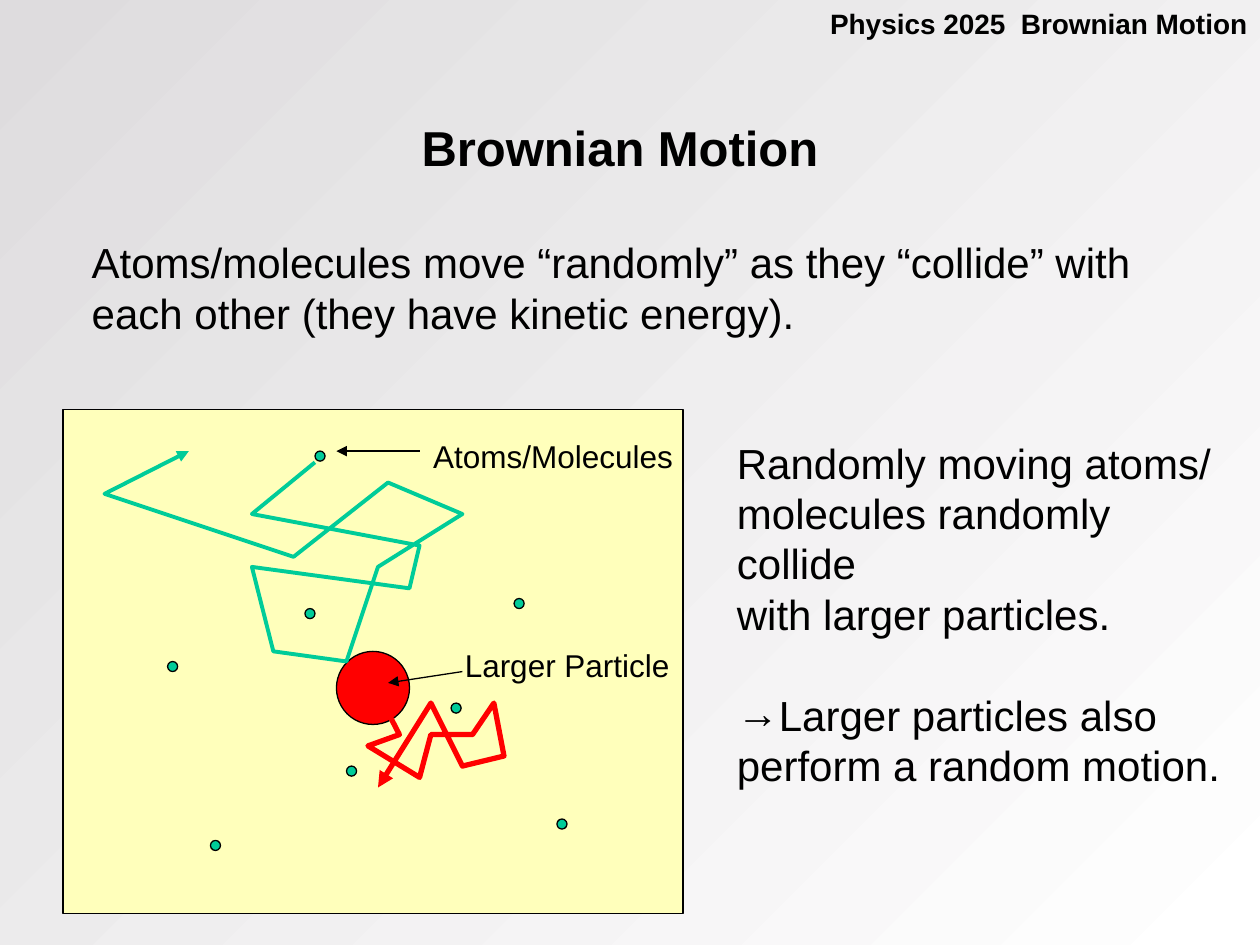
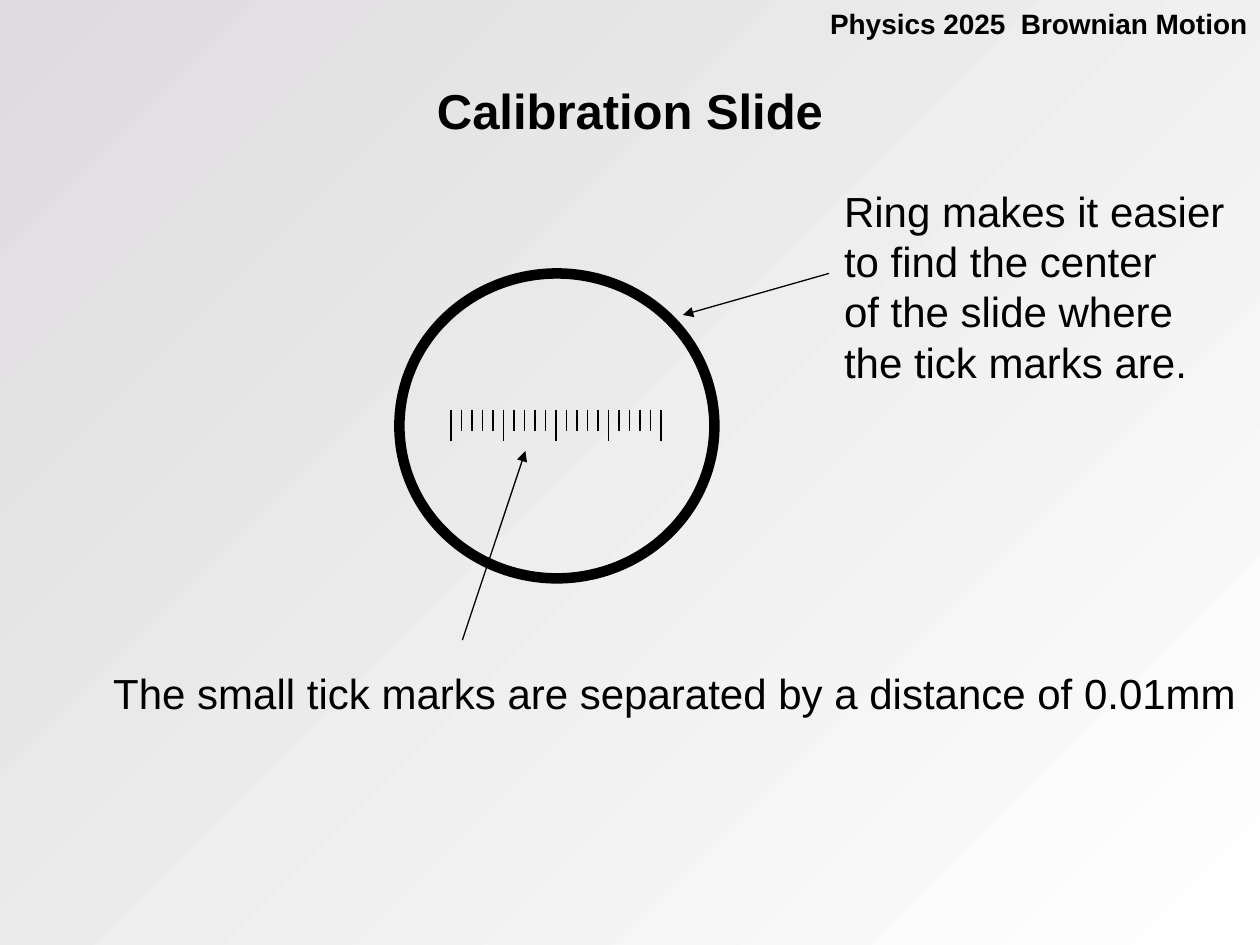
from lxml import etree
from pptx import Presentation
from pptx.dml.color import RGBColor
from pptx.enum.shapes import MSO_CONNECTOR, MSO_SHAPE
from pptx.enum.text import MSO_ANCHOR, MSO_AUTO_SIZE, PP_ALIGN
from pptx.oxml.ns import qn
from pptx.util import Inches, Pt

RECT, OVAL = MSO_SHAPE.RECTANGLE, MSO_SHAPE.OVAL
STRAIGHT = MSO_CONNECTOR.STRAIGHT
LEFT, CENTER, RIGHT = PP_ALIGN.LEFT, PP_ALIGN.CENTER, PP_ALIGN.RIGHT
TOP, MIDDLE = MSO_ANCHOR.TOP, MSO_ANCHOR.MIDDLE

FONT = "Arial"
COLORS = {
    "ink": "000000",
    "bg_start": "DEDCDE",
    "bg_end": "FFFFFF",
    "panel": "FFFFBB",
    "atom": "00CC99",
    "particle": "FF0000",
}
LINE_HEIGHT = 1.2


def rgb(name):
    return RGBColor.from_string(COLORS[name])


class Deck:
    def __init__(self):
        self.prs = Presentation()
        self.prs.slide_width, self.prs.slide_height = Inches(10), Inches(7.5)
        self.s = None

    def slide(self, title, box):
        """Start a slide with the shared background, header and title style."""
        self.s = self.prs.slides.add_slide(self.prs.slide_layouts[6])
        fill = self.s.background.fill
        fill.gradient()
        fill.gradient_angle = 315
        for stop, name in zip(fill.gradient_stops, ("bg_start", "bg_end")):
            stop.color.rgb = rgb(name)
        self.text(["Physics 2025  Brownian Motion"], (4.08, 0, 5.92, 0.37),
                  size=16, bold=True, align=RIGHT)
        self.text([title], box, size=28, bold=True, align=CENTER, anchor=MIDDLE)

    def text(self, lines, box, size=24, bold=False, align=LEFT, anchor=TOP, wrap=True):
        tf = self.s.shapes.add_textbox(*map(Inches, box)).text_frame
        tf.word_wrap = wrap
        tf.auto_size = MSO_AUTO_SIZE.NONE
        tf.vertical_anchor = anchor
        tf.text = "\n".join(lines)
        for p in tf.paragraphs:
            p.alignment = align
            p.font.name, p.font.size, p.font.bold = FONT, Pt(size), bold
            p.font.color.rgb = rgb("ink")
        return tf

    def arrow_bullet(self, p):
        """Lead the paragraph with an arrow, one blank line below the previous one."""
        pPr = p._p.get_or_add_pPr()
        pPr.set("marL", "0")
        pPr.set("indent", "0")
        bullet = etree.Element(qn("a:buChar"), char="→")
        pPr.insert(0, bullet)
        bullet.addprevious(etree.Element(qn("a:buFont"), typeface=FONT))
        p.space_before = Pt(24 * LINE_HEIGHT)

    def shape(self, kind, box, fill=None, width=0.75):
        sp = self.s.shapes.add_shape(kind, *map(Inches, box))
        self.outline(sp, "ink", width)
        sp.shadow.inherit = False
        if fill:
            sp.fill.solid()
            sp.fill.fore_color.rgb = rgb(fill)
        else:
            sp.fill.background()

    def outline(self, sp, color, width, arrow=False):
        sp.line.color.rgb = rgb(color)
        sp.line.width = Pt(width)
        if arrow:
            ln = sp._element.spPr.find(qn("a:ln"))
            etree.SubElement(ln, qn("a:tailEnd"), type="triangle")

    def line(self, start, end, arrow=False):
        c = self.s.shapes.add_connector(STRAIGHT, *map(Inches, start + end))
        self.outline(c, "ink", 0.75, arrow)
        etree.SubElement(c._element.spPr, qn("a:effectLst"))

    def track(self, points, color, width):
        """Draw an open zigzag that ends in an arrowhead."""
        first, *rest = [(Inches(x), Inches(y)) for x, y in points]
        builder = self.s.shapes.build_freeform(*first)
        builder.add_line_segments(rest, close=False)
        sp = builder.convert_to_shape()
        sp.fill.background()
        self.outline(sp, color, width, arrow=True)
        sp.shadow.inherit = False


def brownian_motion(deck):
    deck.slide("Brownian Motion", (0.67, 0.92, 8.5, 0.5))
    deck.shape(RECT, (0.5, 3.25, 4.92, 4), "panel")
    atoms = [(1.33, 5.25), (2.5, 3.58), (3.58, 5.58), (2.42, 4.83),
             (2.75, 6.08), (1.67, 6.67), (4.42, 6.5), (4.08, 4.75)]
    for x, y in atoms:
        deck.shape(OVAL, (x, y, 0.08, 0.08), "atom")
    deck.shape(OVAL, (2.67, 5.17, 0.58, 0.58), "particle")

    deck.text(["Atoms/Molecules"], (3.34, 3.42, 2.1, 0.4), size=18, wrap=False)
    deck.line((3.33, 3.58), (2.67, 3.58), arrow=True)
    deck.text(["Larger Particle"], (3.59, 5.08, 1.82, 0.4), size=18, wrap=False)
    deck.line((3.67, 5.33), (3.08, 5.42), arrow=True)

    atom_track = [(2.5, 3.67), (2, 4.08), (3.33, 4.33), (3.25, 4.67), (2, 4.5),
                  (2.17, 5.17), (2.75, 5.25), (3, 4.5), (3.67, 4.08),
                  (3.08, 3.83), (2.33, 4.42), (0.83, 3.92), (1.5, 3.58)]
    deck.track(atom_track, "atom", 2.25)

    deck.text(["Atoms/molecules move “randomly” as they “collide” with",
               "each other (they have kinetic energy)."],
              (0.63, 1.83, 8.53, 0.9), wrap=False)
    tf = deck.text(["Randomly moving atoms/", "molecules randomly collide",
                    "with larger particles.", "Larger particles also",
                    "perform a random motion."], (5.75, 3.42, 4.08, 2.9))
    deck.arrow_bullet(tf.paragraphs[3])

    particle_track = [(3, 5.5), (3.17, 5.83), (2.92, 5.92), (3.33, 6.17),
                      (3.42, 5.83), (3.75, 5.83), (3.92, 5.58), (4, 6),
                      (3.67, 6.08), (3.42, 5.58), (3, 6.25)]
    deck.track(particle_track, "particle", 3)


def calibration_slide(deck):
    deck.slide("Calibration Slide", (0.75, 0.58, 8.5, 0.58))
    deck.shape(OVAL, (3.17, 2.17, 2.5, 2.42), width=6)
    for i in range(21):
        x = 3.58 + i / 12
        deck.line((x, 3.25), (x, 3.42 if i % 5 else 3.5))
    deck.line((6.58, 2.17), (5.42, 2.5), arrow=True)
    deck.text(["Ring makes it easier", "to find the center",
               "of the slide where", "the tick marks are."],
              (6.6, 1.42, 3.22, 1.7), wrap=False)
    deck.text(["The small tick marks are separated by a distance of 0.01mm"],
              (0.8, 5.25, 9.11, 0.5), wrap=False)
    deck.line((3.67, 5.08), (4.17, 3.58), arrow=True)


def main():
    deck = Deck()
    brownian_motion(deck)
    calibration_slide(deck)
    deck.prs.save("out.pptx")


if __name__ == "__main__":
    main()
